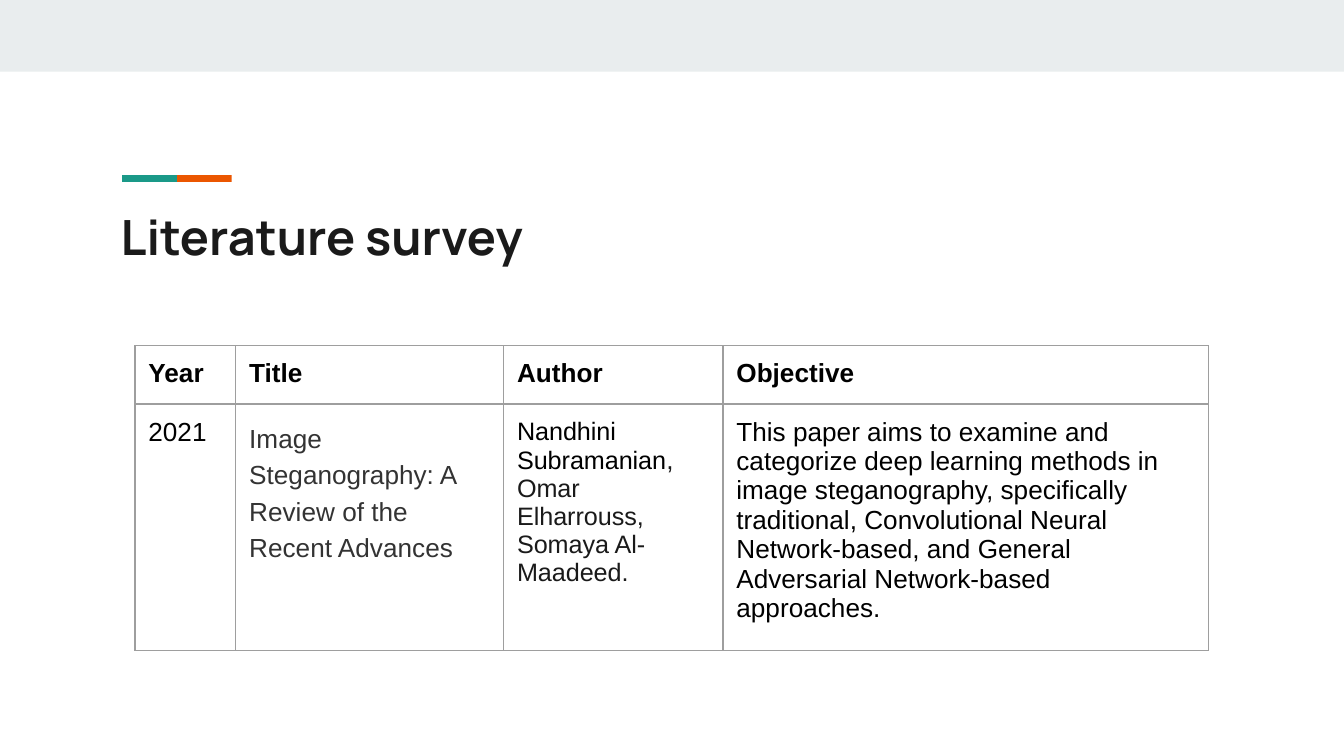
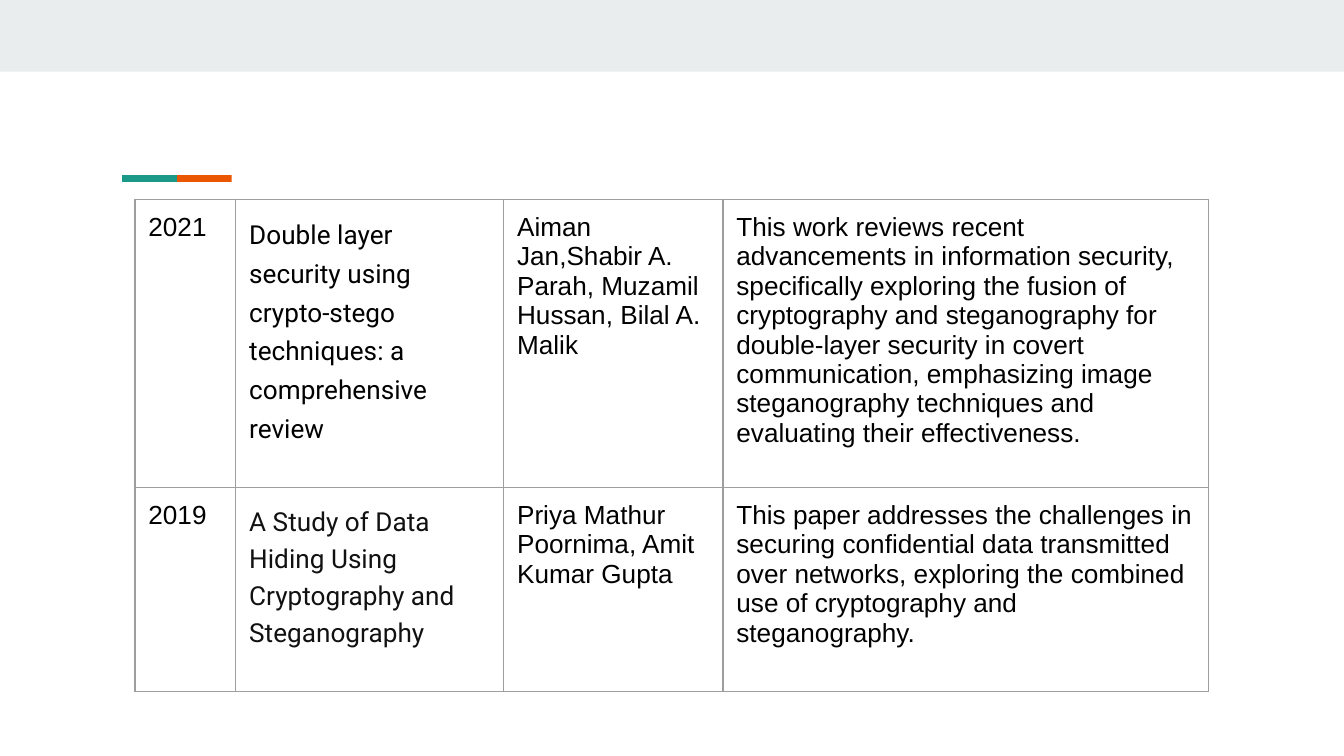
from lxml.etree import SubElement
from pptx import Presentation
from pptx.dml.color import RGBColor
from pptx.enum.shapes import MSO_SHAPE
from pptx.oxml.ns import qn
from pptx.util import Pt

WHITE = RGBColor(0xFF, 0xFF, 0xFF)
BLACK = RGBColor(0x00, 0x00, 0x00)
INK = RGBColor(0x1A, 0x1A, 0x1A)
DARK = RGBColor(0x11, 0x11, 0x11)
SLATE = RGBColor(0x33, 0x33, 0x33)
BAND = RGBColor(0xE9, 0xED, 0xEE)
TEAL = RGBColor(0x1A, 0x99, 0x88)
ORANGE = RGBColor(0xEB, 0x56, 0x00)
GRID = RGBColor(0x9E, 0x9E, 0x9E)

WIDTH, HEIGHT = 720, 405
INSET = 7.2
LEFT = 72.3
COLS = (54, 143.5, 117.5, 260.2)
THICK, LONG = 1.98, 41.9

HEAD = [[[(name, {"bold": True})]] for name in ("Year", "Title", "Author", "Objective")]
SMALL = {"size": 13.5, "color": INK}
REVIEW = [
    [[("2021", {})]],
    [[("Image Steganography: A Review of the Recent Advances",
       {"color": SLATE, "line": 1.24})]],
    [[("Nandhini Subramanian", {"size": 13.5}), (",", {"color": INK})],
     [("Omar Elharrouss,", SMALL)],
     [("Somaya Al-Maadeed.", SMALL)]],
    [[("This paper aims to examine and categorize deep learning methods in image "
       "steganography, specifically traditional, Convolutional Neural Network-based, "
       "and General Adversarial Network-based approaches.", {})]],
]
LAYER = [
    [[("2021", {})]],
    [[("Double layer security using crypto-stego techniques: a comprehensive review",
       {"font": "Roboto", "line": 1.25, "before": 20})]],
    [[("Aiman Jan,Shabir A. Parah, Muzamil Hussan, Bilal A. Malik", {})]],
    [[("This work reviews recent advancements in information security, specifically "
       "exploring the fusion of cryptography and steganography for double-layer "
       "security in covert communication, emphasizing image steganography techniques "
       "and evaluating their effectiveness.", {})]],
]
STUDY = [
    [[("2019", {})]],
    [[("A Study of Data Hiding Using Cryptography and Steganography",
       {"font": "Roboto", "color": DARK, "line": 1.2})]],
    [[("Priya Mathur Poornima, Amit Kumar Gupta", {})]],
    [[("This paper addresses the challenges in securing confidential data transmitted "
       "over networks, exploring the combined use of cryptography and steganography.", {})]],
]


def write(para, text, size=14, font="Arial", color=BLACK, bold=False, line=None, before=None):
    """Add a formatted run to a paragraph."""
    run = para.add_run()
    run.text = text
    run.font.size = Pt(size)
    run.font.name = font
    run.font.color.rgb = color
    run.font.bold = bold
    if line:
        para.line_spacing = line
    if before:
        para.space_before = Pt(before)


def pad(box, right=INSET):
    """Set the margins of a text frame or cell."""
    box.margin_left = box.margin_top = box.margin_bottom = Pt(INSET)
    box.margin_right = Pt(right)


def add_bar(shapes, left, top, width, height, color):
    """Draw a plain filled rectangle."""
    bar = shapes.add_shape(
        MSO_SHAPE.RECTANGLE, Pt(left), Pt(top), Pt(width), Pt(height))
    bar.shadow.inherit = False
    bar.fill.solid()
    bar.fill.fore_color.rgb = color
    bar.line.fill.background()
    return bar


def add_accent(slide):
    """Group two turned bars into the accent line."""
    group = slide.shapes.add_group_shape()
    for middle, color in ((1.5 * LONG, ORANGE), (0.5 * LONG, TEAL)):
        bar = add_bar(group.shapes, middle - THICK / 2, (THICK - LONG) / 2,
                      THICK, LONG, color)
        bar.rotation = 270
    group.left, group.top = Pt(65.4), Pt(93.8)
    group.width, group.height = Pt(58.7), Pt(3.6)
    frame = group._element.grpSpPr.find(qn("a:xfrm"))
    start, size = frame.find(qn("a:chOff")), frame.find(qn("a:chExt"))
    start.set("x", "0")
    start.set("y", "0")
    size.set("cx", str(Pt(2 * LONG)))
    size.set("cy", str(Pt(THICK)))


def add_page(deck):
    """Add a blank slide with the top band and accent line."""
    slide = deck.slides.add_slide(deck.slide_layouts[6])
    slide.background.fill.solid()
    slide.background.fill.fore_color.rgb = WHITE
    add_bar(slide.shapes, 0, 0, WIDTH, 38.4, BAND)
    add_accent(slide)
    return slide


def add_title(slide, text):
    """Place the slide title below the accent line."""
    frame = slide.shapes.add_textbox(Pt(57.6), Pt(103.7), Pt(605.5), Pt(54.7)).text_frame
    frame.word_wrap = True
    pad(frame)
    write(frame.paragraphs[0], text, size=26, font="Manrope", color=INK, bold=True)


def add_edges(cell):
    """Give a cell thin grey borders."""
    props = cell._tc.get_or_add_tcPr()
    for side in ("lnL", "lnR", "lnT", "lnB"):
        edge = SubElement(props, qn(f"a:{side}"), w=str(Pt(0.75)))
        fill = SubElement(edge, qn("a:solidFill"))
        SubElement(fill, qn("a:srgbClr"), val=str(GRID))


def fill_cell(cell, paras):
    """Format a cell and write its paragraphs."""
    pad(cell, right=7.6)
    add_edges(cell)
    cell.fill.background()
    frame = cell.text_frame
    for index, runs in enumerate(paras):
        para = frame.add_paragraph() if index else frame.paragraphs[0]
        for text, style in runs:
            write(para, text, **style)


def add_grid(slide, top, rows, heights):
    """Build a survey table from rows of cell content."""
    table = slide.shapes.add_table(
        len(rows), len(COLS), Pt(LEFT), Pt(top), Pt(sum(COLS)), Pt(sum(heights))).table
    table.first_row = table.horz_banding = False
    for column, width in zip(table.columns, COLS):
        column.width = Pt(width)
    for row, height, cells in zip(table.rows, heights, rows):
        row.height = Pt(height)
        for cell, paras in zip(row.cells, cells):
            fill_cell(cell, paras)


def main():
    """Build and save the deck."""
    deck = Presentation()
    deck.slide_width, deck.slide_height = Pt(WIDTH), Pt(HEIGHT)
    first = add_page(deck)
    add_title(first, "Literature survey")
    add_grid(first, 185.2, [HEAD, REVIEW], (18, 75))
    add_grid(add_page(deck), 106.8, [LAYER, STUDY], (154.3, 109.2))
    deck.save("out.pptx")


if __name__ == "__main__":
    main()
